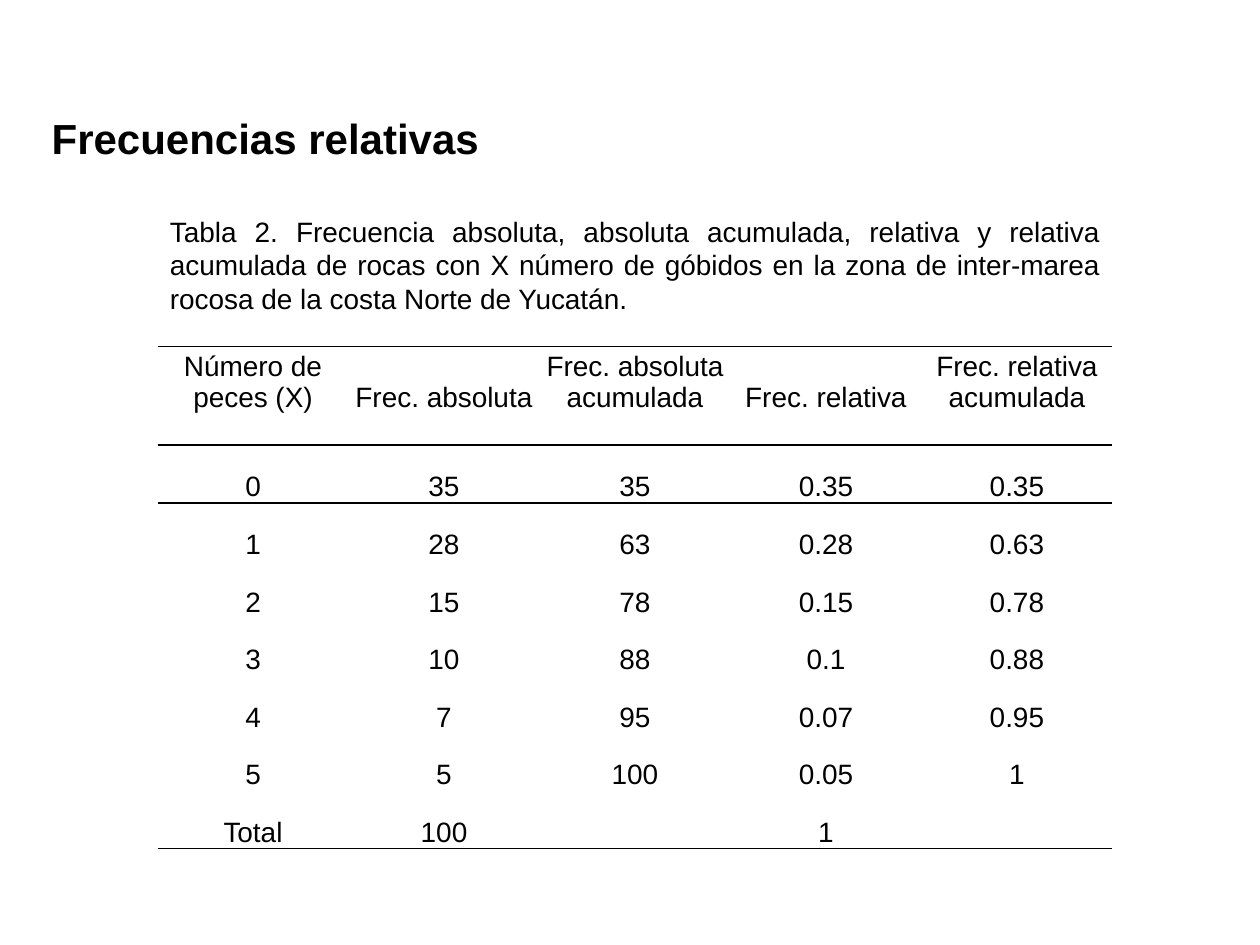
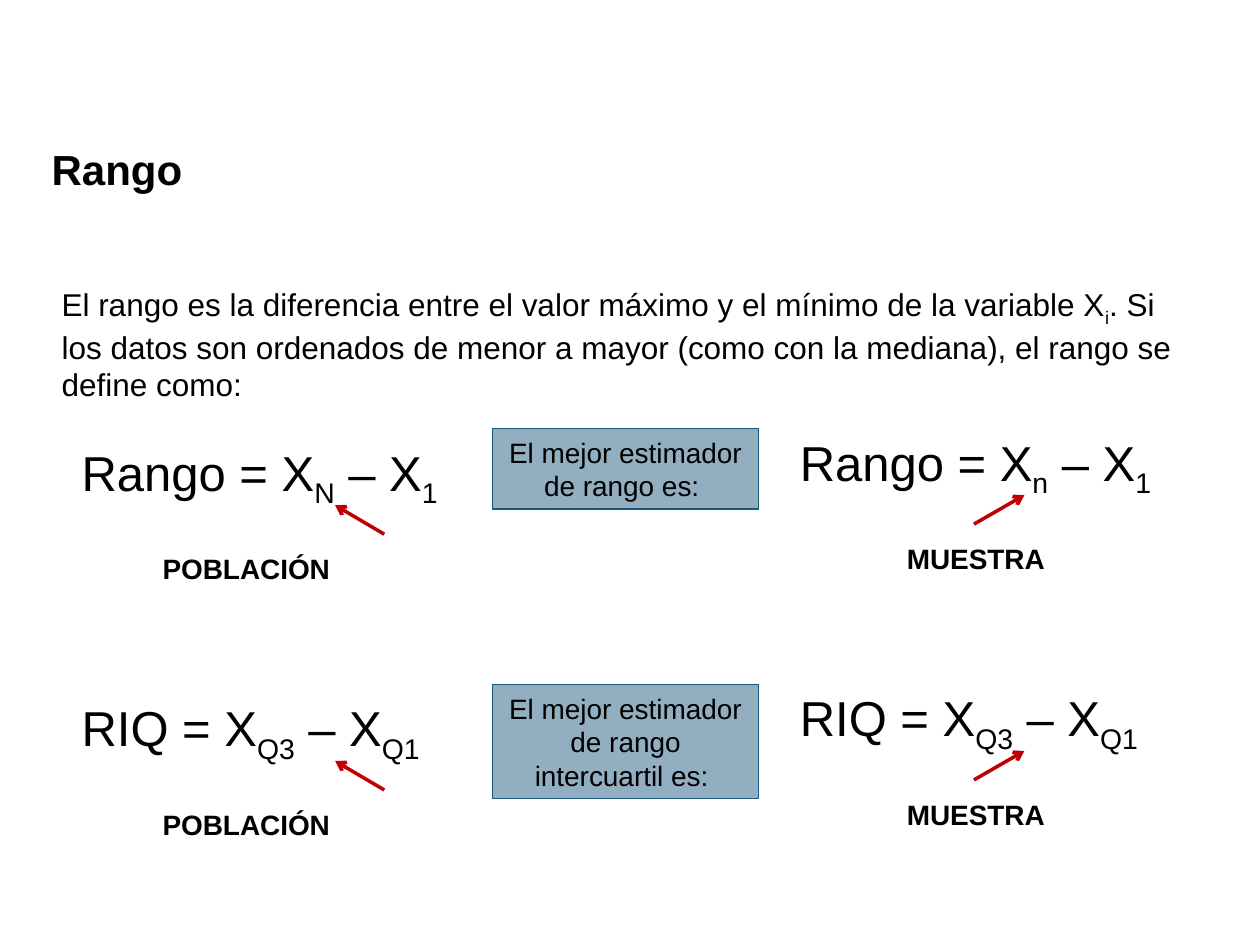
from dataclasses import dataclass

from lxml.etree import SubElement
from pptx import Presentation
from pptx.dml.color import RGBColor
from pptx.enum.shapes import MSO_CONNECTOR, MSO_SHAPE
from pptx.enum.text import MSO_ANCHOR, MSO_AUTO_SIZE, PP_ALIGN
from pptx.oxml.ns import qn
from pptx.slide import Slide
from pptx.table import _Cell
from pptx.text.text import TextFrame
from pptx.util import Inches, Pt

# Shared style
FONT = "Arial"
BLACK = RGBColor(0x00, 0x00, 0x00)
BLUE = RGBColor(0x1B, 0x58, 0x7C)
RED = RGBColor(0xC0, 0x00, 0x00)
PLAIN_TABLE_STYLE = "{2D5ABB26-0587-4C30-8999-92F81FD0307C}"
TITLE_ONLY = 5


@dataclass(frozen=True)
class Area:
    left: float
    top: float
    width: float
    height: float

    def lengths(self) -> tuple:
        return tuple(Inches(n) for n in (self.left, self.top, self.width, self.height))


@dataclass(frozen=True)
class TextStyle:
    size: int
    bold: bool = False
    align: PP_ALIGN = PP_ALIGN.LEFT


TITLE = TextStyle(24, bold=True)
CAPTION = TextStyle(16, align=PP_ALIGN.JUSTIFY)
CENTERED = TextStyle(16, align=PP_ALIGN.CENTER)
LABEL = TextStyle(16, bold=True, align=PP_ALIGN.CENTER)
BODY = TextStyle(18)
EQUATION = TextStyle(28)


@dataclass(frozen=True)
class Side:
    """One column of equations: population or sample."""
    label: str
    left: float
    drop: float
    label_left: float
    arrow_from: float
    arrow_to: float


@dataclass(frozen=True)
class Measure:
    """One row: two equations and the estimator note between them."""
    top: float
    population: str
    sample: str
    note: str
    note_height: float


def write(frame: TextFrame, text: str, style: TextStyle) -> None:
    """Write text; parts between bars are subscripts."""
    frame.word_wrap = True
    para = frame.paragraphs[0]
    para.alignment = style.align
    for index, part in enumerate(text.split("|")):
        if not part:
            continue
        span = para.add_run()
        span.text = part
        span.font.name = FONT
        span.font.size = Pt(style.size)
        span.font.bold = style.bold
        span.font.color.rgb = BLACK
        if index % 2:
            span.font._element.set("baseline", "-25000")


def add_text(page: Slide, area: Area, text: str, style: TextStyle) -> None:
    box = page.shapes.add_textbox(*area.lengths())
    write(box.text_frame, text, style)


def add_page(deck: Presentation, title: str, area: Area) -> Slide:
    page = deck.slides.add_slide(deck.slide_layouts[TITLE_ONLY])
    box = page.shapes.title
    box.left, box.top, box.width, box.height = area.lengths()
    box.text_frame.vertical_anchor = MSO_ANCHOR.TOP
    box.text_frame.auto_size = MSO_AUTO_SIZE.NONE
    write(box.text_frame, title, TITLE)
    return page


def add_note(page: Slide, area: Area, text: str) -> None:
    note = page.shapes.add_shape(MSO_SHAPE.RECTANGLE, *area.lengths())
    note.shadow.inherit = False
    note.fill.solid()
    note.fill.fore_color.rgb = BLUE
    color = note._element.spPr.find(qn("a:solidFill")).find(qn("a:srgbClr"))
    SubElement(color, qn("a:alpha"), val="48000")
    note.line.color.rgb = BLUE
    note.line.width = Pt(0.75)
    note.text_frame.vertical_anchor = MSO_ANCHOR.MIDDLE
    write(note.text_frame, text, CENTERED)


def add_arrow(page: Slide, x1: float, y1: float, x2: float, y2: float) -> None:
    arrow = page.shapes.add_connector(
        MSO_CONNECTOR.STRAIGHT, Inches(x1), Inches(y1), Inches(x2), Inches(y2))
    arrow.line.color.rgb = RED
    arrow.line.width = Pt(2)
    SubElement(arrow.line._get_or_add_ln(), qn("a:tailEnd"), type="arrow")
    SubElement(arrow._element.spPr, qn("a:effectLst"))


def add_border(cell: _Cell, side: str) -> None:
    line = SubElement(cell._tc.get_or_add_tcPr(), qn(f"a:{side}"), w=str(Pt(1)))
    fill = SubElement(line, qn("a:solidFill"))
    SubElement(fill, qn("a:srgbClr"), val=str(BLACK))


def add_frequency_table(page: Slide, rows: list[tuple[str, ...]], area: Area,
                        header_height: float, line_height: float) -> None:
    columns = len(rows[0])
    table = page.shapes.add_table(len(rows), columns, *area.lengths()).table
    table.first_row = table.horz_banding = False
    table._tbl.tblPr.find(qn("a:tableStyleId")).text = PLAIN_TABLE_STYLE
    for column in table.columns:
        column.width = Inches(area.width / columns)
    last = len(rows) - 1
    row_height = (area.height - header_height) / last
    for r, values in enumerate(rows):
        table.rows[r].height = Inches(row_height if r else header_height)
        for c, value in enumerate(values):
            cell = table.cell(r, c)
            cell.margin_left = cell.margin_right = cell.margin_top = 0
            cell.margin_bottom = 0 if r else Inches(line_height)
            cell.vertical_anchor = MSO_ANCHOR.BOTTOM
            if r in (0, 1):
                add_border(cell, "lnT")
            if r in (0, last):
                add_border(cell, "lnB")
            cell.fill.background()
            write(cell.text_frame, value, CENTERED)


# Slide content
FREQUENCIES = [
    ("Número de peces (X)", "Frec. absoluta", "Frec. absoluta acumulada",
     "Frec. relativa", "Frec. relativa acumulada"),
    ("0", "35", "35", "0.35", "0.35"),
    ("1", "28", "63", "0.28", "0.63"),
    ("2", "15", "78", "0.15", "0.78"),
    ("3", "10", "88", "0.1", "0.88"),
    ("4", "7", "95", "0.07", "0.95"),
    ("5", "5", "100", "0.05", "1"),
    ("Total", "100", "", "1", ""),
]
POPULATION = Side("POBLACIÓN", 0.55, 0.08, 1.09, 3.05, 2.66)
SAMPLE = Side("MUESTRA", 6.25, 0, 6.88, 7.73, 8.13)
MEASURES = [
    Measure(3.38, "Rango = X|N| – X|1", "Rango = X|n| – X|1",
            "El mejor estimador de rango es: ", 0.64),
    Measure(5.41, "RIQ = X|Q3| – X|Q1", "RIQ = X|Q3| – X|Q1",
            "El mejor estimador de rango intercuartil es: ", 0.91),
]


def build_frequencies(deck: Presentation) -> None:
    page = add_page(deck, "Frecuencias relativas", Area(0.31, 0.84, 4.06, 0.5))
    add_text(page, Area(1.25, 1.65, 7.58, 0.91),
             "Tabla 2. Frecuencia absoluta, absoluta acumulada, relativa y relativa "
             "acumulada de rocas con X número de góbidos en la zona de inter-marea "
             "rocosa de la costa Norte de Yucatán.", CAPTION)
    add_frequency_table(page, FREQUENCIES, Area(1.25, 2.75, 7.58, 3.94), 0.74, 0.25)


def add_equation(page: Slide, side: Side, equation: str, row_top: float) -> None:
    top = row_top + side.drop
    add_text(page, Area(side.left, top, 3.13, 0.57), equation, EQUATION)
    add_text(page, Area(side.label_left, top + 0.87, 1.73, 0.37), side.label, LABEL)
    add_arrow(page, side.arrow_from, top + 0.78, side.arrow_to, top + 0.55)


def build_range(deck: Presentation) -> None:
    page = add_page(deck, "Rango", Area(0.31, 1.09, 3.28, 0.5))
    add_text(page, Area(0.39, 2.21, 9.22, 1.01),
             "El rango es la diferencia entre el valor máximo y el mínimo de la "
             "variable X|i|. Si los datos son ordenados de menor a mayor (como con "
             "la mediana), el rango se define como:", BODY)
    for measure in MEASURES:
        add_equation(page, POPULATION, measure.population, measure.top)
        add_equation(page, SAMPLE, measure.sample, measure.top)
        add_note(page, Area(3.91, measure.top + 0.02, 2.11, measure.note_height),
                 measure.note)


def main() -> None:
    deck = Presentation()
    deck.slide_width, deck.slide_height = Inches(10), Inches(7.5)
    build_frequencies(deck)
    build_range(deck)
    deck.save("out.pptx")


if __name__ == "__main__":
    main()
